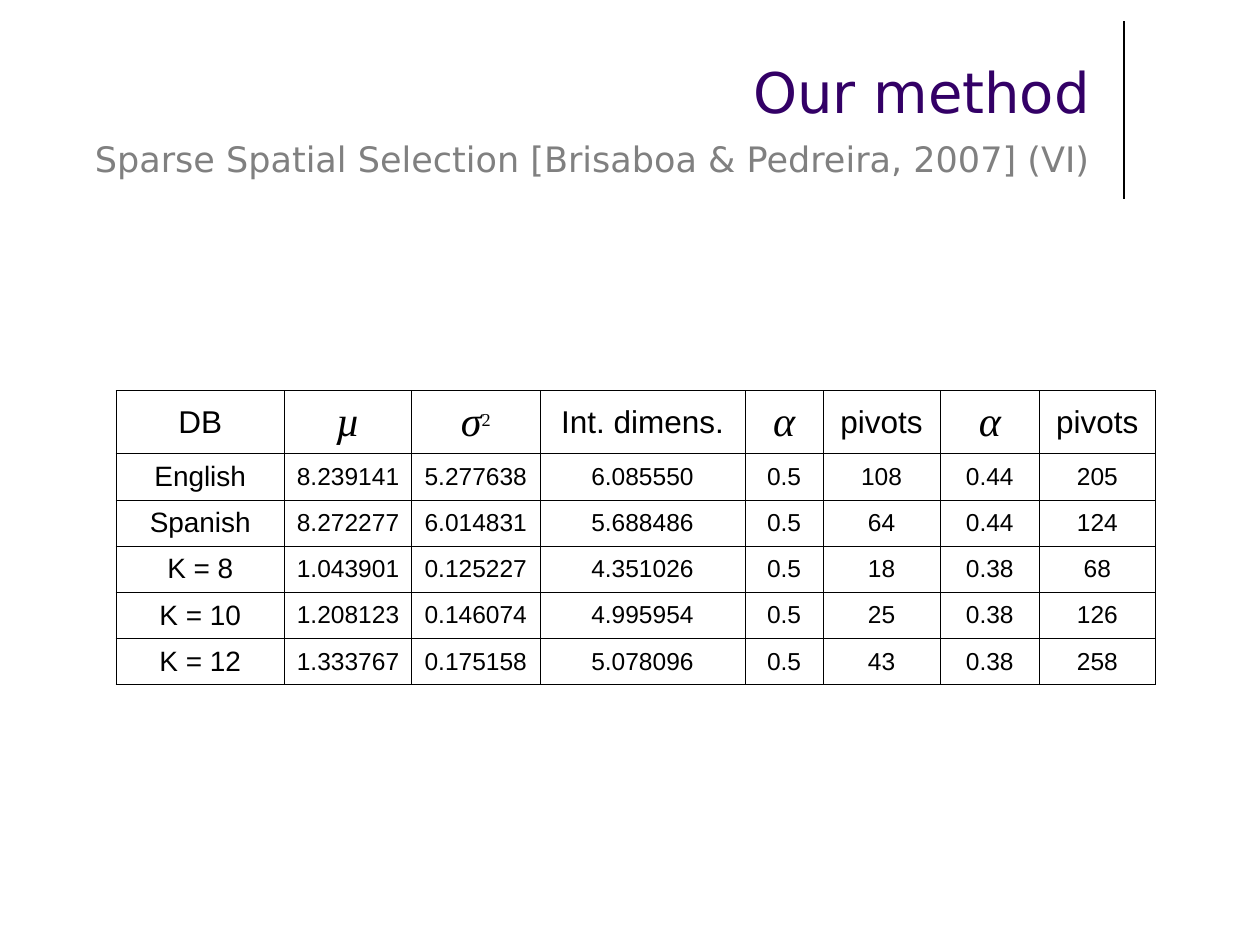
import pptx
import pptx.dml.color
import pptx.enum.shapes
import pptx.enum.text
import pptx.oxml
import pptx.oxml.ns
import pptx.util

Inches = pptx.util.Inches
Pt = pptx.util.Pt
PURPLE = pptx.dml.color.RGBColor(0x33, 0x00, 0x66)
GRAY = pptx.dml.color.RGBColor(0x80, 0x80, 0x80)
BLACK = pptx.dml.color.RGBColor(0x00, 0x00, 0x00)
MIDDLE = pptx.enum.text.MSO_ANCHOR.MIDDLE
ALIGN = pptx.enum.text.PP_ALIGN

SYMBOLS = ("µ", "σ", "α")
COLUMN_WIDTHS = [1.34, 1.01, 1.02, 1.63, 0.62, 0.93, 0.79, 0.92]
HEADER_HEIGHT = 0.5
ROWS = [
    ["DB", "µ", "σ", "Int. dimens.", "α", "pivots", "α", "pivots"],
    ["English", "8.239141", "5.277638", "6.085550", "0.5", "108", "0.44", "205"],
    ["Spanish", "8.272277", "6.014831", "5.688486", "0.5", "64", "0.44", "124"],
    ["K = 8", "1.043901", "0.125227", "4.351026", "0.5", "18", "0.38", "68"],
    ["K = 10", "1.208123", "0.146074", "4.995954", "0.5", "25", "0.38", "126"],
    ["K = 12", "1.333767", "0.175158", "5.078096", "0.5", "43", "0.38", "258"],
]


def style_run(r, name, size, color, italic=False):
    """Set the font of a run."""
    r.font.name = name
    r.font.size = Pt(size)
    r.font.color.rgb = color
    r.font.italic = italic


def add_title(s, left, top, width, height):
    """Add the right-aligned title and subtitle with the rule beside them."""
    tf = s.shapes.add_textbox(
        Inches(left), Inches(top), Inches(width), Inches(height)).text_frame
    tf.word_wrap = True
    tf.vertical_anchor = MIDDLE
    p = tf.paragraphs[0]
    p.text = "Our method\vSparse Spatial Selection [Brisaboa & Pedreira, 2007] (VI)"
    p.alignment = ALIGN.RIGHT
    p.line_spacing = 1.3
    for r, size, color in zip(p.runs, (32, 20), (PURPLE, GRAY)):
        style_run(r, "DejaVu Sans", size, color)

    x = Inches(left + width + 0.17)
    rule = s.shapes.add_connector(
        pptx.enum.shapes.MSO_CONNECTOR.STRAIGHT,
        x, Inches(top - 0.05), x, Inches(top + height + 0.08))
    rule.line.color.rgb = BLACK
    rule.line.width = Pt(0.75)
    rule._element.spPr.append(pptx.oxml.parse_xml(
        f'<a:effectLst {pptx.oxml.ns.nsdecls("a")}/>'))


def add_borders(cell):
    """Draw a thin line on all four sides of a cell."""
    tcPr = cell._tc.get_or_add_tcPr()
    for i, side in enumerate("LRTB"):
        tcPr.insert(i, pptx.oxml.parse_xml(
            f'<a:ln{side} {pptx.oxml.ns.nsdecls("a")} w="{Pt(0.45)}">'
            f'<a:solidFill><a:srgbClr val="{BLACK}"/></a:solidFill></a:ln{side}>'))


def fill_cell(cell, text, size):
    """Write one centred cell, with symbols in italic serif."""
    cell.fill.background()
    add_borders(cell)
    cell.vertical_anchor = MIDDLE
    cell.margin_left = cell.margin_right = Inches(0.09)
    cell.margin_top = cell.margin_bottom = Inches(0.05)
    p = cell.text_frame.paragraphs[0]
    p.text = text
    p.alignment = ALIGN.CENTER
    if text in SYMBOLS:
        style_run(p.runs[0], "Times New Roman", 24, BLACK, italic=True)
    else:
        style_run(p.runs[0], "Arial", size, BLACK)
    if text == "σ":
        r = p.add_run()
        r.text = "2"
        style_run(r, "Times New Roman", 18, BLACK)
        r.font._element.set("baseline", "30000")


def add_results(s, left, top, width, height):
    """Add the table of pivot counts for each database."""
    table = s.shapes.add_table(
        len(ROWS), len(COLUMN_WIDTHS),
        Inches(left), Inches(top), Inches(width), Inches(height)).table
    table.first_row = table.horz_banding = False
    for column, share in zip(table.columns, COLUMN_WIDTHS):
        column.width = Inches(width * share / sum(COLUMN_WIDTHS))
    body_height = (height - HEADER_HEIGHT) / (len(ROWS) - 1)
    for i, row in enumerate(ROWS):
        table.rows[i].height = Inches(body_height if i else HEADER_HEIGHT)
        for j, text in enumerate(row):
            size = 18 if i == 0 else 16 if j == 0 else 14
            fill_cell(table.cell(i, j), text, size)


def main():
    """Build the slide and save it."""
    prs = pptx.Presentation()
    prs.slide_width, prs.slide_height = Inches(10), Inches(7.5)
    s = prs.slides.add_slide(prs.slide_layouts[6])
    add_title(s, 0.5, 0.22, 8.25, 1.28)
    add_results(s, 0.92, 3.1, 8.25, 2.32)
    prs.save("out.pptx")


if __name__ == "__main__":
    main()
